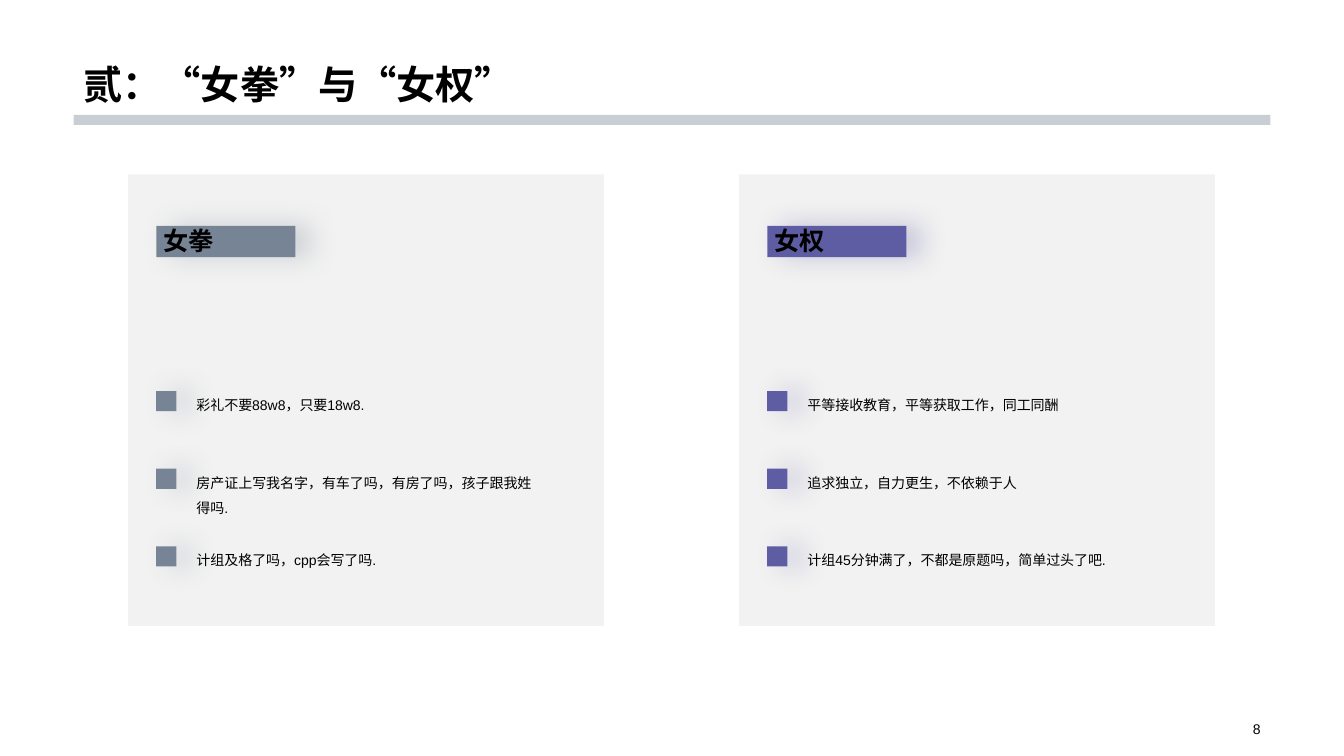
from lxml import etree
from pptx import Presentation
from pptx import util as u
from pptx.dml.color import RGBColor
from pptx.enum import lang, shapes, text
from pptx.oxml.ns import qn

TITLE = "贰：“女拳”与“女权”"
PAGE_NUMBER = "8"
PANELS = [
    {"left": 1.27, "color": "778495", "heading": "女拳", "points": [
        "彩礼不要88w8，只要18w8.",
        "房产证上写我名字，有车了吗，有房了吗，孩子跟我姓得吗.",
        "计组及格了吗，cpp会写了吗."]},
    {"left": 7.33, "color": "5E5CA2", "heading": "女权", "points": [
        "平等接收教育，平等获取工作，同工同酬",
        "追求独立，自力更生，不依赖于人",
        "计组45分钟满了，不都是原题吗，简单过头了吧."]},
]
PANEL_TOP, PANEL_WIDTH, PANEL_HEIGHT = 1.73, 4.72, 4.48
MARKER_INSET, MARKER_SIZE = 0.28, 0.2
FIRST_POINT_TOP, POINT_STEP = 3.88, 0.77


def rgb(color):
    return RGBColor.from_string(color)


def add_alpha(color_element, percent):
    alpha = etree.SubElement(color_element, qn("a:alpha"))
    alpha.set("val", str(percent * 1000))


def add_block(page, left, top, width, height, color, opacity=100, glow=False):
    """Add a borderless rectangle; glow gives it a soft shadow to the right."""
    block = page.shapes.add_shape(
        shapes.MSO_SHAPE.RECTANGLE, u.Inches(left), u.Inches(top),
        u.Inches(width), u.Inches(height))
    block.fill.solid()
    block.fill.fore_color.rgb = rgb(color)
    block.line.fill.background()
    block.shadow.inherit = False
    properties = block.element.spPr
    if opacity < 100:
        add_alpha(properties.find(qn("a:solidFill")).find(qn("a:srgbClr")), opacity)
    if glow:
        effects = properties.find(qn("a:effectLst"))
        shadow = etree.SubElement(
            effects, qn("a:outerShdw"), blurRad=str(u.Pt(20)),
            dist=str(u.Pt(10)), dir="0", algn="l", rotWithShape="0")
        add_alpha(etree.SubElement(shadow, qn("a:srgbClr"), val=color), 32)


def add_text(page, words, left, top, width, height, size=10, bold=False,
             anchor=text.MSO_ANCHOR.TOP, align=text.PP_ALIGN.LEFT, spacing=1.0):
    box = page.shapes.add_textbox(
        u.Inches(left), u.Inches(top), u.Inches(width), u.Inches(height))
    frame = box.text_frame
    frame.word_wrap = True
    frame.vertical_anchor = anchor
    para = frame.paragraphs[0]
    para.alignment = align
    para.line_spacing = spacing
    span = para.add_run()
    span.text = words
    span.font.name = "Arial"
    span.font.size = u.Pt(size)
    span.font.bold = bold
    span.font.color.rgb = rgb("000000")
    span.font.language_id = lang.MSO_LANGUAGE_ID.SIMPLIFIED_CHINESE


def add_panel(page, left, color, heading, points):
    marker_left = left + MARKER_INSET
    add_block(page, left, PANEL_TOP, PANEL_WIDTH, PANEL_HEIGHT, "808080", opacity=10)
    add_block(page, marker_left, 2.24, 1.38, 0.31, color, glow=True)
    add_text(page, heading, marker_left - 0.03, 2.19, 2.1, 0.4, size=18, bold=True,
             anchor=text.MSO_ANCHOR.MIDDLE)
    for row, point in enumerate(points):
        top = FIRST_POINT_TOP + row * POINT_STEP
        add_block(page, marker_left, top, MARKER_SIZE, MARKER_SIZE, color, glow=True)
        add_text(page, point, marker_left + 0.3, top - 0.08, 3.55, 0.32, spacing=1.5)


def main():
    deck = Presentation()
    deck.slide_width, deck.slide_height = u.Inches(13.33), u.Inches(7.5)
    page = deck.slides.add_slide(deck.slide_layouts[6])
    add_block(page, 0.73, 1.14, 11.87, 0.1, "C9CED5")
    add_text(page, TITLE, 0.73, 0, 11.87, 1.12, size=28, bold=True,
             anchor=text.MSO_ANCHOR.BOTTOM, spacing=0.9)
    add_text(page, PAGE_NUMBER, 9.42, 7.12, 3.18, 0.23,
             anchor=text.MSO_ANCHOR.MIDDLE, align=text.PP_ALIGN.RIGHT)
    for panel in PANELS:
        add_panel(page, **panel)
    deck.save("out.pptx")


if __name__ == "__main__":
    main()
